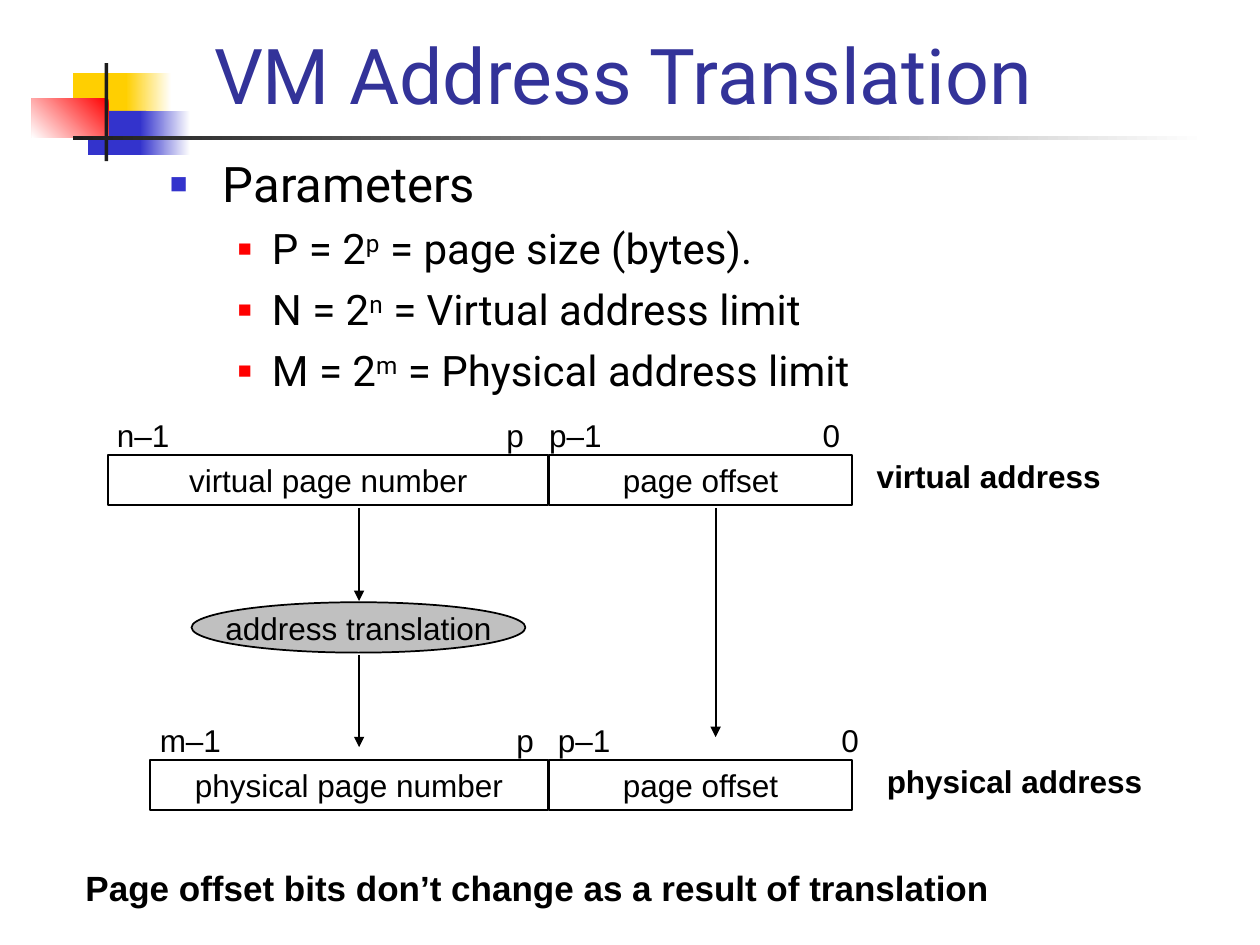
import pptx
import pptx.util
import pptx.dml.color
import pptx.enum.shapes
import pptx.enum.text
import pptx.oxml
import pptx.oxml.ns

Inches = pptx.util.Inches
Pt = pptx.util.Pt
SHAPE = pptx.enum.shapes.MSO_SHAPE
ANCHOR = pptx.enum.text.MSO_ANCHOR
ALIGN = pptx.enum.text.PP_ALIGN
FIT = pptx.enum.text.MSO_AUTO_SIZE


def color(value):
    return pptx.dml.color.RGBColor.from_string(value)


def style(font, size, name="Arial", ink="000000", bold=False):
    font.size = Pt(size)
    font.name = name
    font.color.rgb = color(ink)
    font.bold = bold


def add_element(parent, tag, **attributes):
    element = pptx.oxml.parse_xml(f"<a:{tag} {pptx.oxml.ns.nsdecls('a')}/>")
    for key, value in attributes.items():
        element.set(key, value)
    parent.append(element)
    return element


def add_block(s, left, top, width, height, fill, angle=None):
    sp = s.shapes.add_shape(SHAPE.RECTANGLE, Inches(left), Inches(top), Inches(width), Inches(height))
    sp.shadow.inherit = False
    sp.line.fill.background()
    if angle is None:
        sp.fill.solid()
        sp.fill.fore_color.rgb = color(fill)
        return
    sp.fill.gradient()
    sp.fill.gradient_angle = angle
    stops = (fill, "FFFFFF") if angle != 180 else ("FFFFFF", fill)
    for stop, position, value in zip(sp.fill.gradient_stops, (0, 1), stops):
        stop.position = position
        stop.color.rgb = color(value)


def add_text(s, left, top, width, height, text, size=18, wrap=False, **font):
    sp = s.shapes.add_textbox(Inches(left), Inches(top), Inches(width), Inches(height))
    tf = sp.text_frame
    tf.word_wrap = wrap
    tf.auto_size = FIT.NONE if wrap else FIT.SHAPE_TO_FIT_TEXT
    tf.text = text
    style(tf.paragraphs[0].runs[0].font, size, **font)
    return tf


def add_node(s, kind, left, top, width, height, text, fill):
    sp = s.shapes.add_shape(kind, Inches(left), Inches(top), Inches(width), Inches(height))
    sp.shadow.inherit = False
    sp.fill.solid()
    sp.fill.fore_color.rgb = color(fill)
    sp.line.color.rgb = color("000000")
    sp.line.width = Pt(1)
    tf = sp.text_frame
    tf.word_wrap = False
    tf.vertical_anchor = ANCHOR.MIDDLE
    tf.text = text
    p = tf.paragraphs[0]
    p.alignment = ALIGN.CENTER
    style(p.runs[0].font, 18)


def add_arrow(s, x, top, bottom):
    line = s.shapes.add_connector(
        pptx.enum.shapes.MSO_CONNECTOR.STRAIGHT, Inches(x), Inches(top), Inches(x), Inches(bottom))
    line.line.color.rgb = color("000000")
    line.line.width = Pt(1)
    add_element(line.line._get_or_add_ln(), "tailEnd", type="triangle")
    add_element(line._element.spPr, "effectLst")


def add_ornament(s, left, top):
    add_block(s, left + 0.33, top + 0.08, 0.48, 0.35, "FFCF01")
    add_block(s, left + 0.75, top + 0.08, 0.36, 0.35, "FFCF01", 180)
    add_block(s, left + 0.45, top + 0.38, 0.46, 0.35, "3333CC")
    add_block(s, left + 0.86, top + 0.38, 0.4, 0.35, "3333CC", 180)
    add_block(s, left, top + 0.28, 0.61, 0.31, "FF0000", 225)
    add_block(s, left + 0.58, top, 0.03, 0.78, "1C1C1C")
    add_block(s, left + 0.33, top + 0.58, 9, 0.03, "1C1C1C", 180)


def add_title(s, left, top, width, height):
    tf = add_text(s, left, top, width, height, "VM Address Translation", 44, True, name="Roboto", ink="333399")
    tf.vertical_anchor = ANCHOR.BOTTOM


def add_bullet(p, indent, hanging, ink, percent):
    pPr = p._p.get_or_add_pPr()
    pPr.set("marL", str(Inches(indent)))
    pPr.set("indent", str(-Inches(hanging)))
    add_element(add_element(pPr, "buClr"), "srgbClr", val=ink)
    add_element(pPr, "buSzPct", val=str(percent * 1000))
    add_element(pPr, "buFont", typeface="Arial")
    add_element(pPr, "buChar", char="■")


def add_parameters(s, left, top, width, height):
    tf = add_text(s, left, top, width, height, "Parameters", 28, True, name="Roboto")
    add_bullet(tf.paragraphs[0], 0.42, 0.42, "3333CC", 60)
    definitions = [
        ("P = 2", "p", " = page size (bytes)."),
        ("N = 2", "n", " = Virtual address limit"),
        ("M = 2", "m", " = Physical address limit"),
    ]
    for parts in definitions:
        p = tf.add_paragraph()
        p.level = 1
        p.space_before = Pt(6)
        add_bullet(p, 0.81, 0.27, "FF0000", 55)
        for index, part in enumerate(parts):
            r = p.add_run()
            r.text = part
            style(r.font, 24, "Roboto")
            if index == 1:
                r.font._element.set("baseline", "30000")


def add_address(s, left, top, split, right, kind, bit_labels, name_left, name_width):
    height = 0.4
    for text, x, width in bit_labels:
        add_text(s, x, top - 0.36, width, height, text)
    add_node(s, SHAPE.RECTANGLE, left, top, split - 0.01 - left, height, f"{kind} page number", "FFFFFF")
    add_node(s, SHAPE.RECTANGLE, split, top, right - split, height, "page offset", "FFFFFF")
    add_text(s, name_left, top - 0.03, name_width, height, f"{kind} address", bold=True)


def add_diagram(s, left, top):
    split, right = left + 3.5, left + 5.9
    page_x, offset_x = left + 1.99, left + 4.82
    add_address(s, left, top, split, right, "virtual",
                [("n–1", left - 0.03, 0.62), ("p", left + 3.06, 0.34),
                 ("p–1", left + 3.4, 0.62), ("0", left + 5.57, 0.34)], left + 6, 1.98)
    add_address(s, left + 0.33, top + 2.42, split, right, "physical",
                [("m–1", left + 0.31, 0.7), ("p", left + 3.14, 0.34),
                 ("p–1", left + 3.47, 0.62), ("0", left + 5.72, 0.34)], left + 6.08, 2.23)
    add_node(s, SHAPE.OVAL, left + 0.66, top + 1.17, 2.65, 0.4, "address translation", "C0C0C0")
    add_arrow(s, page_x, top + 0.42, top + 1.16)
    add_arrow(s, page_x, top + 1.59, top + 2.32)
    add_arrow(s, offset_x, top + 0.42, top + 2.24)


def main():
    prs = pptx.Presentation()
    prs.slide_width = Inches(10)
    prs.slide_height = Inches(7.5)
    s = prs.slides.add_slide(prs.slide_layouts[6])
    add_ornament(s, 0.25, 0.5)
    add_diagram(s, 0.86, 3.61)
    add_text(s, 0.58, 6.83, 9.1, 0.43, "Page offset bits don’t change as a result of translation", 20, True, bold=True)
    add_title(s, 1.6, 0.13, 7.81, 0.87)
    add_parameters(s, 1.25, 1.17, 8.59, 2.08)
    prs.save("out.pptx")


if __name__ == "__main__":
    main()
